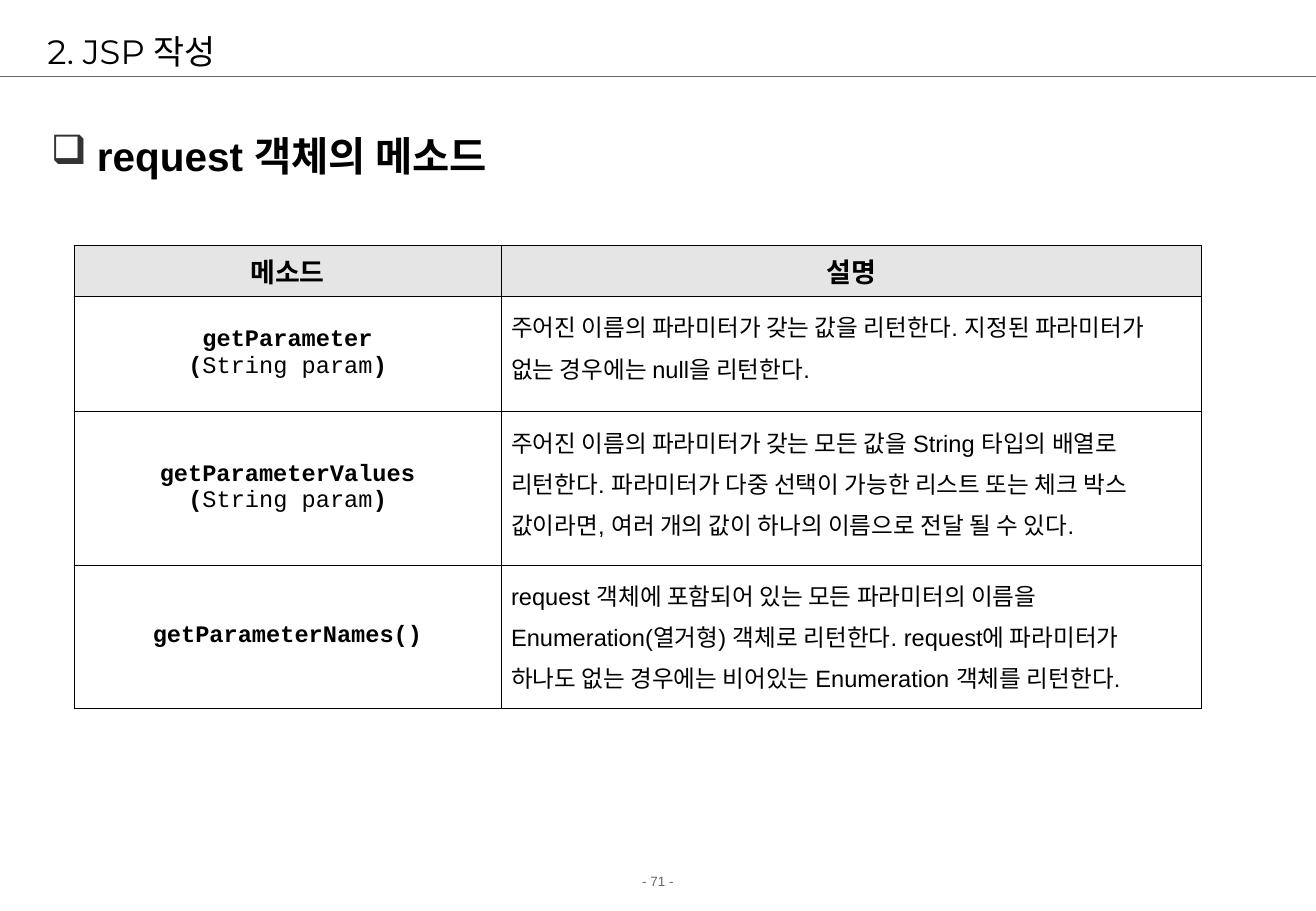
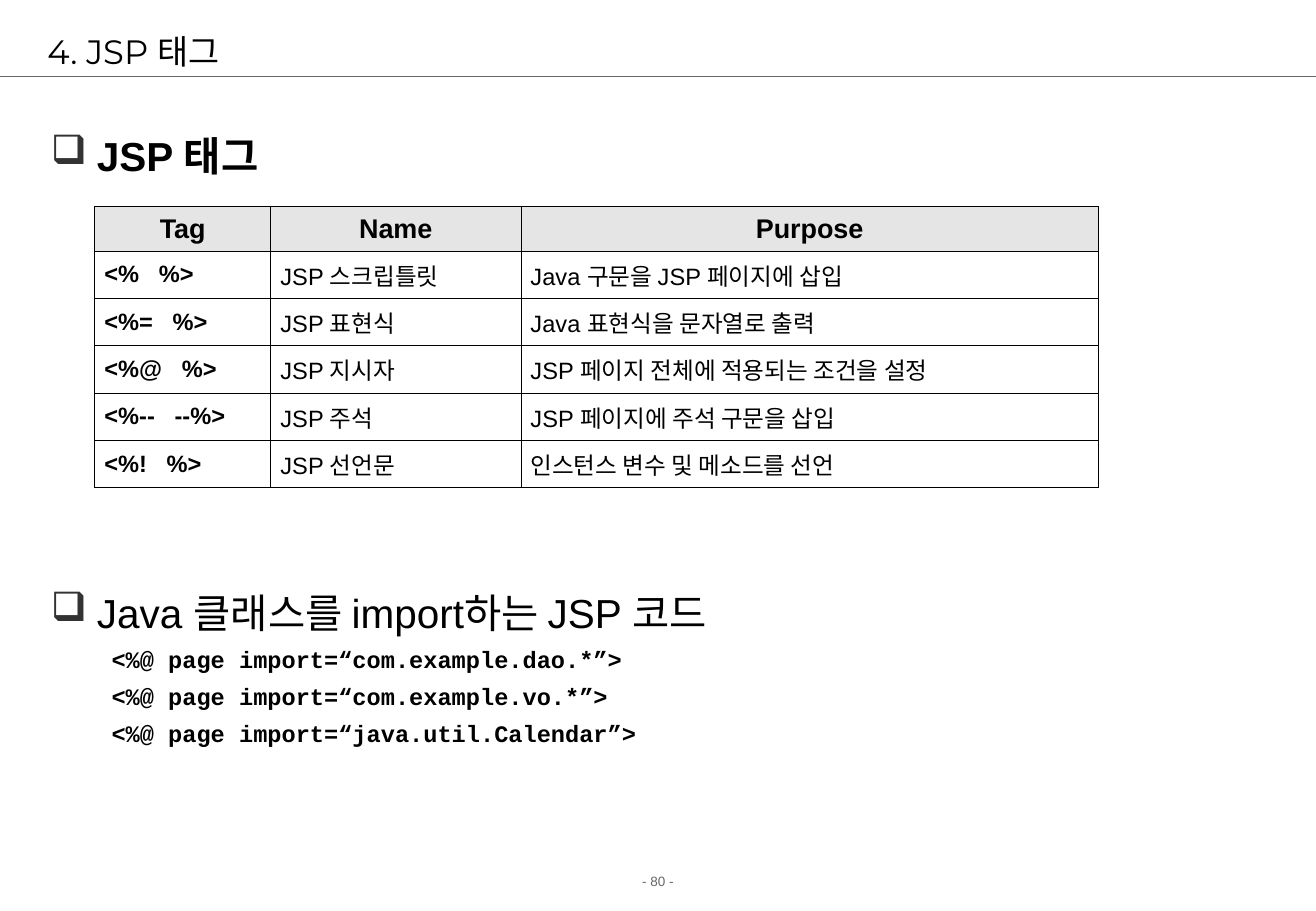
from pptx import Presentation
from pptx.dml.color import RGBColor
from pptx.enum.shapes import MSO_CONNECTOR
from pptx.enum.text import MSO_ANCHOR as ANCHOR, MSO_AUTO_SIZE, PP_ALIGN as ALIGN
from pptx.oxml.ns import qn
from pptx.util import Inches, Pt
from lxml.etree import SubElement

# Shared look
SLIDE_W, SLIDE_H = 10.84, 7.5
BLACK, GRAY, BULLET, HEADER_FILL = "000000", "666666", "333333", "E5E5E5"
BODY_FONT, CODE_FONT, TITLE_FONT = "Arial", "Courier New", "Montserrat"
OUTER_LINE, INNER_LINE = 0.45, 0.34

# Column styles: font, bold, alignment, anchor, line spacing
SIGNATURE = (CODE_FONT, True, ALIGN.CENTER, ANCHOR.MIDDLE, None)
DESCRIPTION = (BODY_FONT, False, ALIGN.LEFT, ANCHOR.TOP, 1.2)
TAG = (BODY_FONT, True, ALIGN.LEFT, ANCHOR.MIDDLE, None)
PLAIN = (BODY_FONT, False, ALIGN.LEFT, ANCHOR.MIDDLE, None)
HEADER = (BODY_FONT, True, ALIGN.CENTER, ANCHOR.MIDDLE, None)

METHODS = [
    ("메소드", "설명"),
    (["getParameter\v(", "String param", ")"],
     "주어진 이름의 파라미터가 갖는 값을 리턴한다. 지정된 파라미터가 없는 경우에는 null을 리턴한다."),
    (["getParameterValues\v(", "String param", ")"],
     "주어진 이름의 파라미터가 갖는 모든 값을 String 타입의 배열로 리턴한다. "
     "파라미터가 다중 선택이 가능한 리스트 또는 체크 박스 값이라면, "
     "여러 개의 값이 하나의 이름으로 전달 될 수 있다."),
    ("getParameterNames()",
     "request 객체에 포함되어 있는 모든 파라미터의 이름을 Enumeration(열거형) 객체로 리턴한다. "
     "request에 파라미터가 \v하나도 없는 경우에는 비어있는 Enumeration 객체를 리턴한다."),
]
TAGS = [
    ("Tag", "Name", "Purpose"),
    ("<%   %>", "JSP 스크립틀릿", "Java 구문을 JSP 페이지에 삽입"),
    ("<%=   %>", "JSP 표현식", "Java 표현식을 문자열로 출력"),
    ("<%@   %>", "JSP 지시자", "JSP 페이지 전체에 적용되는 조건을 설정"),
    ("<%--   --%>", "JSP 주석", "JSP 페이지에 주석 구문을 삽입"),
    ("<%!   %>", "JSP 선언문", "인스턴스 변수 및 메소드를 선언"),
]
IMPORTS = [
    "<%@ page import=“com.example.dao.*”>",
    "<%@ page import=“com.example.vo.*”>",
    "<%@ page import=“java.util.Calendar”>",
]


def rgb(value):
    return RGBColor.from_string(value)


def format_runs(p, size, font=BODY_FONT, color=BLACK, bold=False):
    for r in p.runs:
        r.font.size, r.font.name, r.font.bold = Pt(size), font, bold
        r.font.color.rgb = rgb(color)


def set_indent(p, left, first):
    pPr = p._p.get_or_add_pPr()
    pPr.set("marL", str(Inches(left)))
    pPr.set("indent", str(Inches(first)))
    return pPr


def add_text_box(s, x, y, w, h):
    tf = s.shapes.add_textbox(Inches(x), Inches(y), Inches(w), Inches(h)).text_frame
    tf.word_wrap = True
    return tf


# Title, rule and page number
def add_page(prs, title, number):
    s = prs.slides.add_slide(prs.slide_layouts[5])
    sp = s.shapes.title
    sp.left, sp.top, sp.width, sp.height = map(Inches, (0.29, 0.21, 8.66, 0.42))
    tf = sp.text_frame
    tf.text = title
    tf.auto_size = MSO_AUTO_SIZE.NONE
    tf.vertical_anchor = ANCHOR.MIDDLE
    tf.paragraphs[0].alignment = ALIGN.LEFT
    format_runs(tf.paragraphs[0], 20, TITLE_FONT)

    rule = s.shapes.add_connector(MSO_CONNECTOR.STRAIGHT, 0, Inches(0.63),
                                  Inches(SLIDE_W), Inches(0.63))
    rule.line.color.rgb = rgb(GRAY)
    rule.line.width = Pt(0.75)
    SubElement(rule._element.spPr, qn("a:effectLst"))

    p = add_text_box(s, 0, 7.14, SLIDE_W, 0.24).paragraphs[0]
    p.text = f"- {number} -"
    p.alignment = ALIGN.CENTER
    format_runs(p, 8, color=GRAY)
    return s


# Bulleted heading with optional code lines below
def add_section(s, y, heading, bold=True, code=()):
    tf = add_text_box(s, 0.32, y, 9.92, 0.8 + 0.3 * len(code))
    p = tf.paragraphs[0]
    p.text = heading
    p.line_spacing = 1.5
    pPr = set_indent(p, 0.38, -0.38)
    SubElement(SubElement(pPr, qn("a:buClr")), qn("a:srgbClr"), val=BULLET)
    SubElement(pPr, qn("a:buChar"), char="❑")
    format_runs(p, 24, bold=bold)
    for line in code:
        p = tf.add_paragraph()
        p.text = line
        p.line_spacing = 1.3
        set_indent(p, 0.83, -0.33)
        format_runs(p, 14, CODE_FONT, bold=True)


# Tables
def set_borders(cell, outer):
    tcPr = cell._tc.get_or_add_tcPr()
    for side, is_outer in zip("LRTB", outer):
        width = Pt(OUTER_LINE if is_outer else INNER_LINE)
        ln = SubElement(tcPr, qn(f"a:ln{side}"), w=str(width))
        SubElement(SubElement(ln, qn("a:solidFill")), qn("a:srgbClr"), val=BLACK)


def fill_cell(cell, content, style, size):
    font, bold, align, anchor, spacing = style
    cell.vertical_anchor = anchor
    p = cell.text_frame.paragraphs[0]
    parts = [content] if isinstance(content, str) else content
    p.text = parts[0]
    for part in parts[1:]:
        p.add_run().text = part
    p.alignment = align
    if spacing:
        p.line_spacing = spacing
    format_runs(p, size, font, bold=bold)
    if len(parts) == 3:  # the argument between the brackets is light
        p.runs[-2].font.bold = False


def add_grid(s, x, y, widths, heights, rows, styles):
    n_rows, n_cols = len(rows), len(widths)
    table = s.shapes.add_table(n_rows, n_cols, Inches(x), Inches(y),
                               Inches(sum(widths)), Inches(sum(heights))).table
    table.first_row = table.horz_banding = False
    for col, width in zip(table.columns, widths):
        col.width = Inches(width)
    for i, (row, height) in enumerate(zip(rows, heights)):
        table.rows[i].height = Inches(height)
        for j, content in enumerate(row):
            cell = table.cell(i, j)
            set_borders(cell, (j == 0, j == n_cols - 1, i == 0, i == n_rows - 1))
            if i == 0:
                cell.fill.solid()
                cell.fill.fore_color.rgb = rgb(HEADER_FILL)
                fill_cell(cell, content, HEADER, 16)
            else:
                cell.fill.background()
                cell.margin_left = cell.margin_right = Inches(0.08)
                fill_cell(cell, content, styles[j], 14)


def main():
    prs = Presentation()
    prs.slide_width, prs.slide_height = Inches(SLIDE_W), Inches(SLIDE_H)

    # Request methods
    s = add_page(prs, "2. JSP 작성", 71)
    add_section(s, 0.83, "request 객체의 메소드")
    add_grid(s, 0.61, 2.02, [3.52, 5.77], [0.42, 0.95, 1.26, 1.18],
             METHODS, [SIGNATURE, DESCRIPTION])

    # JSP tags
    s = add_page(prs, "4. JSP 태그", 80)
    add_section(s, 0.83, "JSP 태그")
    add_grid(s, 0.78, 1.7, [1.45, 2.06, 4.76], [0.34] + [0.39] * 5,
             TAGS, [TAG, PLAIN, PLAIN])
    add_section(s, 4.59, "Java 클래스를 import하는 JSP 코드", bold=False, code=IMPORTS)

    prs.save("out.pptx")


if __name__ == "__main__":
    main()
